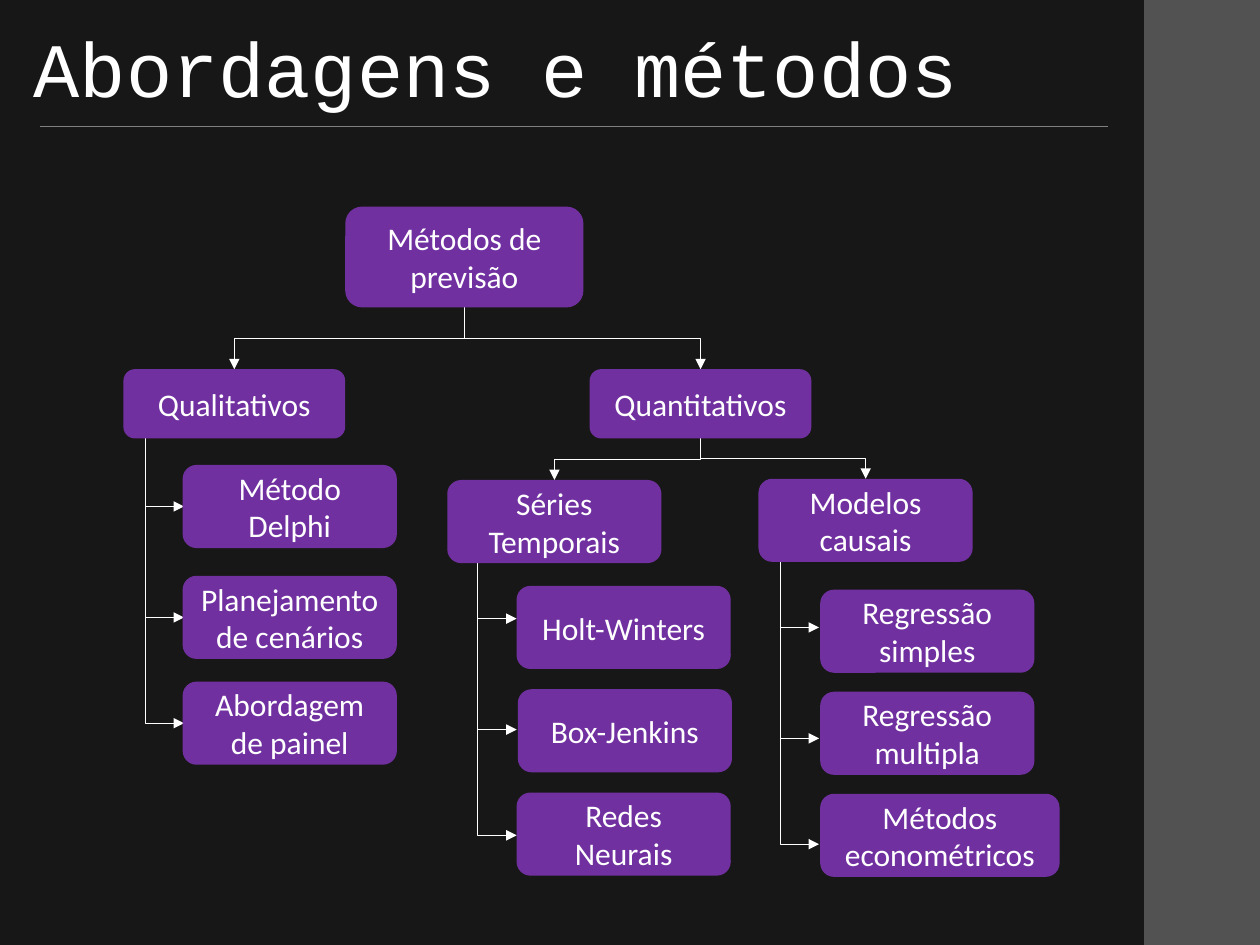
from lxml.etree import SubElement
from pptx import Presentation
from pptx.dml.color import RGBColor
from pptx.enum.shapes import MSO_CONNECTOR, MSO_SHAPE
from pptx.enum.text import MSO_ANCHOR, PP_ALIGN
from pptx.oxml.ns import qn
from pptx.util import Inches, Pt

BACKGROUND = RGBColor(0x18, 0x17, 0x17)
SIDEBAR = RGBColor(0x52, 0x52, 0x52)
RULE = RGBColor(0x80, 0x80, 0x80)
PURPLE = RGBColor(0x70, 0x30, 0xA0)
WHITE = RGBColor(0xFF, 0xFF, 0xFF)

LEAF_WIDTH, LEAF_HEIGHT = 1.7, 0.66
# Arrow heights below the first arrow of a branch, and length of each drop
TIP_OFFSETS = (0, 0.88, 1.72)
DROPS = (0.56, 1.62, 2.5)


def add_block(slide, kind, box, color):
    shape = slide.shapes.add_shape(kind, *map(Inches, box))
    shape.shadow.inherit = False
    shape.fill.solid()
    shape.fill.fore_color.rgb = color
    shape.line.fill.background()
    return shape


def write(shape, text, font_name, size, alignment):
    frame = shape.text_frame
    frame.word_wrap = True
    frame.vertical_anchor = MSO_ANCHOR.MIDDLE
    paragraph = frame.paragraphs[0]
    paragraph.text = text
    paragraph.alignment = alignment
    paragraph.font.name = font_name
    paragraph.font.size = Pt(size)
    paragraph.font.color.rgb = WHITE
    return paragraph


def add_node(slide, text, box):
    shape = add_block(slide, MSO_SHAPE.ROUNDED_RECTANGLE, box, PURPLE)
    write(shape, text, "Calibri", 18, PP_ALIGN.CENTER)


def add_line(slide, kind, ends, color):
    connector = slide.shapes.add_connector(kind, *map(Inches, ends))
    connector.line.color.rgb = color
    connector.line.width = Pt(0.5)
    SubElement(connector._element.spPr, qn("a:effectLst"))
    return connector


def add_elbow(slide, start, end, preset):
    """Bent arrow that leaves its start downwards."""
    (x1, y1), (x2, y2) = start, end
    across, down = abs(x2 - x1), y2 - y1
    left, top = (x1 + x2 - down) / 2, (y1 + y2 - across) / 2
    connector = add_line(slide, MSO_CONNECTOR.ELBOW,
                         (left, top, left + down, top + across), WHITE)
    properties = connector._element.spPr
    properties.find(qn("a:prstGeom")).set("prst", preset)
    transform = properties.find(qn("a:xfrm"))
    transform.set("rot", str((270 if x2 > x1 else 90) * 60000))
    if x2 > x1:
        transform.set("flipH", "1")
    SubElement(connector.line._get_or_add_ln(), qn("a:tailEnd"), type="triangle")


def add_frame(slide, box):
    """Title, rule below it and bar at the right edge."""
    left, top, width, height = box
    title = slide.shapes.add_textbox(*map(Inches, (left + 0.17, top + 0.15, 9.64, 0.85)))
    paragraph = write(title, "Abordagens e métodos", "Courier New", 44, PP_ALIGN.LEFT)
    paragraph.line_spacing = 0.9
    add_block(slide, MSO_SHAPE.RECTANGLE,
              (left + width - 0.92, top, 0.92, height), SIDEBAR)
    add_line(slide, MSO_CONNECTOR.STRAIGHT,
             (left + 8.79, top + 1, left + 0.32, top + 1), RULE)


def add_fork(slide, box, child_boxes):
    """Arrows from the bottom of a box to the top of each child."""
    left, top, width, height = box
    for child_left, child_top, child_width, _ in child_boxes:
        add_elbow(slide, (left + width / 2, top + height),
                  (child_left + child_width / 2, child_top), "bentConnector3")


def add_branch(slide, text, box, trunk, leaves):
    """Parent box with a trunk of arrows to its leaves."""
    trunk_x, first_tip = trunk
    for offset, drop in zip(TIP_OFFSETS, DROPS):
        tip = first_tip + offset
        add_elbow(slide, (trunk_x, tip - drop), (trunk_x + 0.31, tip), "bentConnector2")
    add_node(slide, text, box)
    for leaf_text, left, top, width in leaves:
        add_node(slide, leaf_text, (left, top, width, LEAF_HEIGHT))


def add_tree(slide, box):
    """Classification tree of the forecasting methods."""
    x, y, _, _ = box
    root = (x + 1.76, y, 1.89, 0.8)
    qualitative = (x, y + 1.29, 1.76, 0.55)
    quantitative = (x + 3.7, y + 1.29, 1.76, 0.55)
    series = (x + 2.57, y + 2.17, LEAF_WIDTH, LEAF_HEIGHT)
    causal = (x + 5.04, y + 2.16, LEAF_WIDTH, LEAF_HEIGHT)

    # Upper levels
    add_fork(slide, root, (qualitative, quantitative))
    add_fork(slide, quantitative, (series, causal))
    add_node(slide, "Métodos de previsão", root)
    add_node(slide, "Quantitativos", quantitative)

    # Branches with leaves
    add_branch(slide, "Qualitativos", qualitative, (x + 0.17, y + 2.38), (
        ("Método Delphi", x + 0.47, y + 2.05, LEAF_WIDTH),
        ("Planejamento de cenários", x + 0.47, y + 2.93, LEAF_WIDTH),
        ("Abordagem de painel", x + 0.47, y + 3.77, LEAF_WIDTH)))
    add_branch(slide, "Séries Temporais", series, (x + 2.81, y + 3.27), (
        ("Holt-Winters", x + 3.12, y + 3.01, LEAF_WIDTH),
        ("Box-Jenkins", x + 3.13, y + 3.83, LEAF_WIDTH),
        ("Redes Neurais", x + 3.12, y + 4.65, LEAF_WIDTH)))
    add_branch(slide, "Modelos causais", causal, (x + 5.21, y + 3.34), (
        ("Regressão simples", x + 5.53, y + 3.04, LEAF_WIDTH),
        ("Regressão multipla", x + 5.53, y + 3.85, LEAF_WIDTH),
        ("Métodos econométricos", x + 5.53, y + 4.66, 1.9)))


presentation = Presentation()
presentation.slide_width, presentation.slide_height = Inches(10), Inches(7.5)
slide = presentation.slides.add_slide(presentation.slide_layouts[6])
slide.background.fill.solid()
slide.background.fill.fore_color.rgb = BACKGROUND
add_frame(slide, (0, 0, 10, 7.5))
add_tree(slide, (0.98, 1.64, 7.43, 5.32))
presentation.save("out.pptx")
